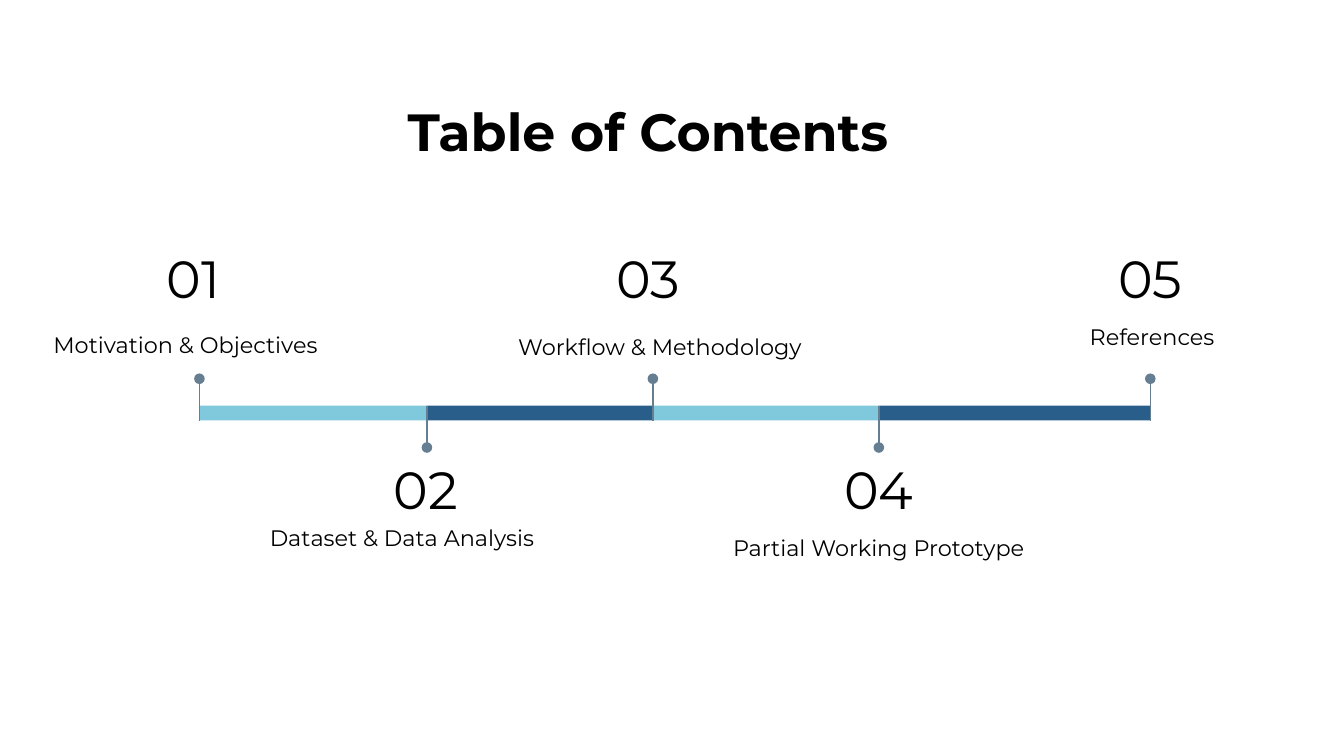
from dataclasses import dataclass
from itertools import cycle, pairwise
from typing import NamedTuple

from lxml.etree import SubElement
from pptx import Presentation
from pptx.dml.color import RGBColor
from pptx.enum.shapes import MSO_CONNECTOR, MSO_SHAPE
from pptx.enum.text import MSO_ANCHOR, MSO_AUTO_SIZE, PP_ALIGN
from pptx.oxml.ns import qn
from pptx.util import Cm, Pt


@dataclass(frozen=True)
class Theme:
    font: str = "Montserrat"
    ink: str = "000000"
    light: str = "80C9DD"
    dark: str = "285E89"
    marker: str = "667E92"
    heading_size: int = 28
    label_size: int = 12
    stem_width: float = 0.75


class Chapter(NamedTuple):
    number: str
    label: str
    x: float             # marker position on the timeline
    number_x: float      # centre of the number
    label_box: tuple     # left, top, width, height
    align: PP_ALIGN = PP_ALIGN.CENTER


# All lengths are in centimetres
CHAPTERS = [
    Chapter("01", "Motivation & Objectives", 3.77, 3.66, (0.76, 5.87, 5.79, 1.3), PP_ALIGN.LEFT),
    Chapter("02", "Dataset & Data Analysis", 8.07, 8.05, (4.85, 9.8, 6.25, 0.74), PP_ALIGN.LEFT),
    Chapter("03", "Workflow & Methodology", 12.34, 12.25, (9.35, 6.05, 6.25, 0.99)),
    Chapter("04", "Partial Working Prototype", 16.61, 16.61, (11.48, 9.86, 10.26, 0.99)),
    Chapter("05", "References ", 21.74, 21.74, (19.86, 5.87, 3.94, 0.99)),
]
BAR_TOP, BAR_HEIGHT = 7.67, 0.28
DOT_SIZE, DOT_GAP = 0.2, 0.51
NUMBER_WIDTH, NUMBER_HEIGHT = 2.9, 1.85
NUMBER_TOP_ABOVE, NUMBER_TOP_BELOW = 4.32, 8.31


def write_text(frame, text, *, font, size, color, bold=False,
               align=PP_ALIGN.CENTER, anchor=MSO_ANCHOR.MIDDLE):
    frame.word_wrap = True
    frame.auto_size = MSO_AUTO_SIZE.NONE
    frame.vertical_anchor = anchor
    frame.margin_left = frame.margin_right = Cm(0.25)
    frame.margin_top = frame.margin_bottom = Cm(0.25)
    paragraph = frame.paragraphs[0]
    paragraph.alignment = align
    run = paragraph.add_run()
    run.text = text
    run.font.name = font
    run.font.size = Pt(size)
    run.font.bold = bold
    run.font.color.rgb = RGBColor.from_string(color)


class SlideBuilder:
    def __init__(self, slide, theme):
        self.slide = slide
        self.theme = theme

    def title(self, text, left, top, width, height):
        heading = self.slide.shapes.title
        heading.left, heading.top = Cm(left), Cm(top)
        heading.width, heading.height = Cm(width), Cm(height)
        write_text(heading.text_frame, text, font=self.theme.font,
                   size=self.theme.heading_size, color=self.theme.ink,
                   bold=True, anchor=MSO_ANCHOR.TOP)

    def text(self, text, box, size, align=PP_ALIGN.CENTER):
        caption = self.slide.shapes.add_textbox(*map(Cm, box))
        write_text(caption.text_frame, text, font=self.theme.font,
                   size=size, color=self.theme.ink, align=align)

    def shape(self, kind, box, color):
        figure = self.slide.shapes.add_shape(kind, *map(Cm, box))
        figure.shadow.inherit = False
        figure.fill.solid()
        figure.fill.fore_color.rgb = RGBColor.from_string(color)
        figure.line.fill.background()

    def stem(self, x, start, end):
        stem = self.slide.shapes.add_connector(
            MSO_CONNECTOR.STRAIGHT, Cm(x), Cm(start), Cm(x), Cm(end))
        stem.line.color.rgb = RGBColor.from_string(self.theme.marker)
        stem.line.width = Pt(self.theme.stem_width)
        SubElement(stem._element.spPr, qn("a:effectLst"))

    def marker(self, x, above):
        bar_bottom = BAR_TOP + BAR_HEIGHT
        dot_y = BAR_TOP - DOT_GAP if above else bar_bottom + DOT_GAP
        self.stem(x, dot_y, bar_bottom if above else BAR_TOP)
        self.shape(MSO_SHAPE.OVAL,
                   (x - DOT_SIZE / 2, dot_y - DOT_SIZE / 2, DOT_SIZE, DOT_SIZE),
                   self.theme.marker)


def main():
    deck = Presentation()
    deck.slide_width, deck.slide_height = Cm(25.4), Cm(14.29)
    theme = Theme()
    builder = SlideBuilder(deck.slides.add_slide(deck.slide_layouts[5]), theme)

    builder.title("Table of Contents", 6.63, 1.63, 11.23, 1.6)

    # Timeline bar: one segment between each pair of chapters
    for (start, end), color in zip(pairwise(CHAPTERS), cycle((theme.light, theme.dark))):
        builder.shape(MSO_SHAPE.RECTANGLE,
                      (start.x, BAR_TOP, end.x - start.x, BAR_HEIGHT), color)

    # Chapters alternate above and below the bar
    for chapter, above in zip(CHAPTERS, cycle((True, False))):
        builder.marker(chapter.x, above)
        number_top = NUMBER_TOP_ABOVE if above else NUMBER_TOP_BELOW
        builder.text(chapter.number,
                     (chapter.number_x - NUMBER_WIDTH / 2, number_top,
                      NUMBER_WIDTH, NUMBER_HEIGHT), theme.heading_size)
        builder.text(chapter.label, chapter.label_box, theme.label_size, chapter.align)

    deck.save("out.pptx")


if __name__ == "__main__":
    main()
